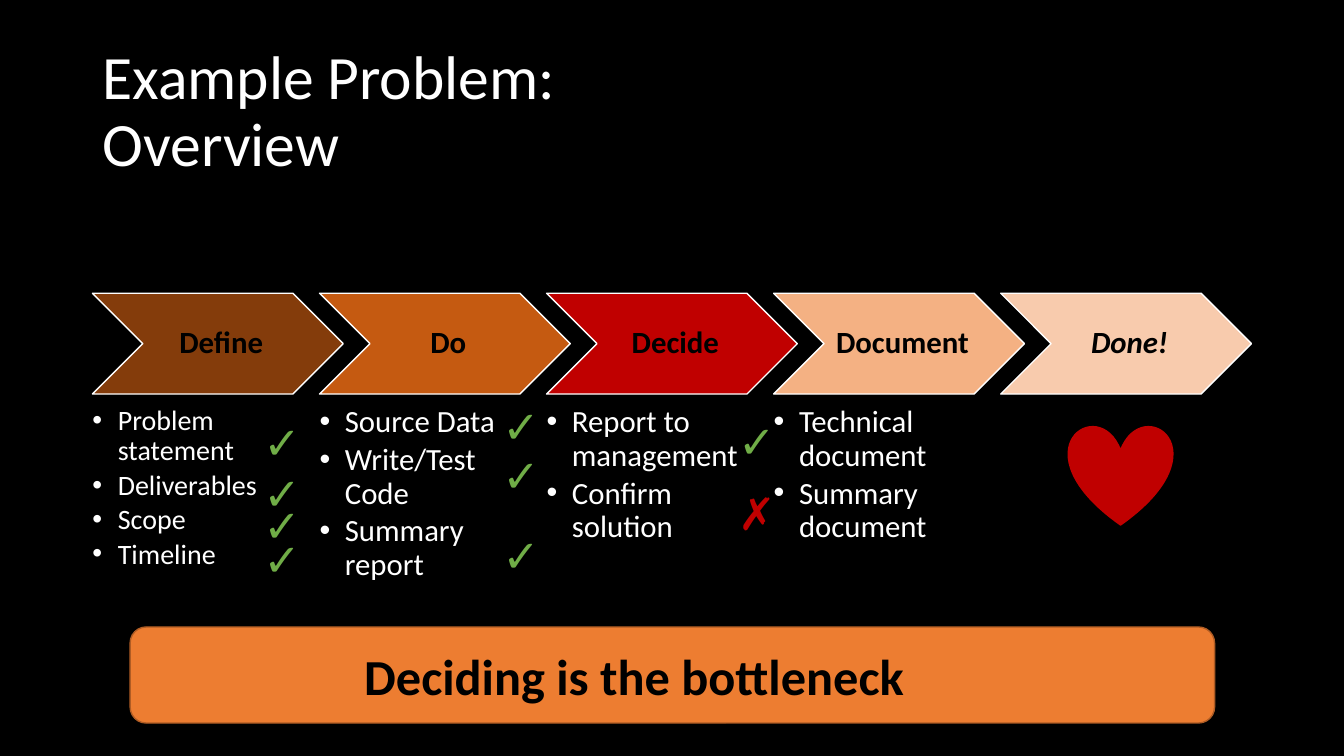
from dataclasses import dataclass

from lxml.etree import SubElement
from pptx import Presentation
from pptx.dml.color import RGBColor
from pptx.enum.shapes import MSO_SHAPE
from pptx.enum.text import MSO_ANCHOR, MSO_AUTO_SIZE, PP_ALIGN
from pptx.oxml.ns import qn
from pptx.util import Cm, Pt


@dataclass(frozen=True)
class Theme:
    font: str = "Calibri"
    back: str = "000000"
    light: str = "FFFFFF"
    dark: str = "000000"
    good: str = "70AD47"
    bad: str = "C00000"
    banner: str = "ED7D31"
    banner_line: str = "AF5C24"
    title_size: int = 44
    banner_size: int = 36
    mark_size: int = 32
    text_size: int = 22
    small_size: int = 20


THEME = Theme()
CHECK, CROSS = "✓", "✗"

# Each step: name, fill, bullet size, bullets, marks offset, marks (symbol, offset down)
STEPS = [
    ("Define", "843C0B", THEME.small_size,
     ["Problem statement", "Deliverables", "Scope", "Timeline"],
     4.06, [(CHECK, 0.07), (CHECK, 1.37), (CHECK, 2.18), (CHECK, 3.04)]),
    ("Do", "C55A11", THEME.text_size,
     ["Source Data", "Write/Test Code", "Summary report"],
     4.36, [(CHECK, -0.33), (CHECK, 0.91), (CHECK, 2.94)]),
    ("Decide", "C00000", THEME.text_size,
     ["Report to management", "Confirm solution"],
     4.58, [(CHECK, 0.05), (CROSS, 1.88)]),
    ("Document", "F4B183", THEME.text_size,
     ["Technical document", "Summary document"], 0, []),
    ("Done!", "F8CBAD", THEME.text_size, [], 0, []),
]


def rgb(code):
    return RGBColor.from_string(code)


def add_bullet(p):
    pPr = p._p.get_or_add_pPr()
    pPr.set("marL", str(Cm(0.64)))
    pPr.set("indent", str(-Cm(0.64)))
    SubElement(pPr, qn("a:buFont")).set("typeface", "Arial")
    SubElement(pPr, qn("a:buChar")).set("char", "•")


def write(tf, paragraphs, size, color, bold=False, italic=False, align=PP_ALIGN.LEFT,
          anchor=MSO_ANCHOR.TOP, insets=(0.25, 0.13, 0.25, 0.13), spacing=1.0,
          after=0, bullets=False, wrap=True):
    """Fill a text frame with paragraphs; a newline inside one is a line break."""
    tf.auto_size = MSO_AUTO_SIZE.NONE
    tf.word_wrap = wrap
    tf.vertical_anchor = anchor
    tf.margin_left, tf.margin_top, tf.margin_right, tf.margin_bottom = map(Cm, insets)
    for i, text in enumerate(paragraphs):
        p = tf.paragraphs[0] if i == 0 else tf.add_paragraph()
        p.alignment = align
        p.line_spacing = spacing
        p.space_before = Pt(0)
        p.space_after = Pt(after)
        if bullets:
            add_bullet(p)
        for j, line in enumerate(text.split("\n")):
            if j:
                p.add_line_break()
            r = p.add_run()
            r.text = line
            f = r.font
            f.name, f.size, f.bold, f.italic = THEME.font, Pt(size), bold, italic
            f.color.rgb = rgb(color)


def add_preset(s, kind, x, y, w, h, fill, line):
    sp = s.shapes.add_shape(kind, Cm(x), Cm(y), Cm(w), Cm(h))
    sp.shadow.inherit = False
    sp.fill.solid()
    sp.fill.fore_color.rgb = rgb(fill)
    sp.line.color.rgb = rgb(line)
    sp.line.width = Pt(1)
    return sp


def add_text(s, x, y, w, h, paragraphs, **style):
    box = s.shapes.add_textbox(Cm(x), Cm(y), Cm(w), Cm(h))
    write(box.text_frame, paragraphs, **style)


def add_title(s, x, y, w, h):
    title = s.shapes.title
    title.left, title.top, title.width, title.height = Cm(x), Cm(y), Cm(w), Cm(h)
    write(title.text_frame, ["Example Problem:\nOverview"], THEME.title_size,
          THEME.light, anchor=MSO_ANCHOR.MIDDLE, spacing=0.9)


def add_process(s, x, y, w, h):
    chevron_w, chevron_h, body_w, body_gap = 6.32, 2.54, 5.06, 2.85
    pitch = (w - chevron_w) / (len(STEPS) - 1)
    body_y = y + body_gap
    # Chevrons and their bullets
    for i, (name, fill, size, bullets, _, _) in enumerate(STEPS):
        left = x + i * pitch
        sp = add_preset(s, MSO_SHAPE.CHEVRON, left, y, chevron_w, chevron_h,
                        fill, THEME.light)
        write(sp.text_frame, [name], THEME.text_size, THEME.dark, bold=True,
              italic=i == len(STEPS) - 1, align=PP_ALIGN.CENTER,
              anchor=MSO_ANCHOR.MIDDLE, insets=(0.25, 0.08, 0.08, 0.08), spacing=0.9)
        if bullets:
            add_text(s, left, body_y, body_w, h - body_gap, bullets, size=size,
                     color=THEME.light, insets=(0, 0, 0, 0), spacing=0.9,
                     after=0.15 * size, bullets=True)
    # Heart under the last step
    add_preset(s, MSO_SHAPE.HEART, x + w - 4.61, y + 3.33, 2.62, 2.51,
               THEME.bad, THEME.bad)
    # Check and cross marks
    for i, (_, _, _, _, offset, marks) in enumerate(STEPS):
        for symbol, down in marks:
            add_text(s, x + i * pitch + offset, body_y + down, 1.4, 1.62, [symbol],
                     size=THEME.mark_size, wrap=False,
                     color=THEME.good if symbol == CHECK else THEME.bad)


def add_banner(s, x, y, w, h):
    sp = add_preset(s, MSO_SHAPE.ROUNDED_RECTANGLE, x, y, w, h,
                    THEME.banner, THEME.banner_line)
    # The wide right inset sets the words left of centre
    write(sp.text_frame, ["Deciding is the bottleneck"], THEME.banner_size, THEME.dark,
          bold=True, align=PP_ALIGN.CENTER, anchor=MSO_ANCHOR.MIDDLE,
          insets=(0.25, 0.13, 2.17, 0.13))


def main():
    prs = Presentation()
    prs.slide_width, prs.slide_height = Cm(33.87), Cm(19.05)
    s = prs.slides.add_slide(prs.slide_layouts[5])
    s.background.fill.solid()
    s.background.fill.fore_color.rgb = rgb(THEME.back)
    add_title(s, 2.33, 1.01, 29.21, 3.68)
    add_process(s, 2.33, 7.39, 29.21, 7.45)
    add_banner(s, 3.28, 15.8, 27.33, 2.42)
    prs.save("out.pptx")


if __name__ == "__main__":
    main()
